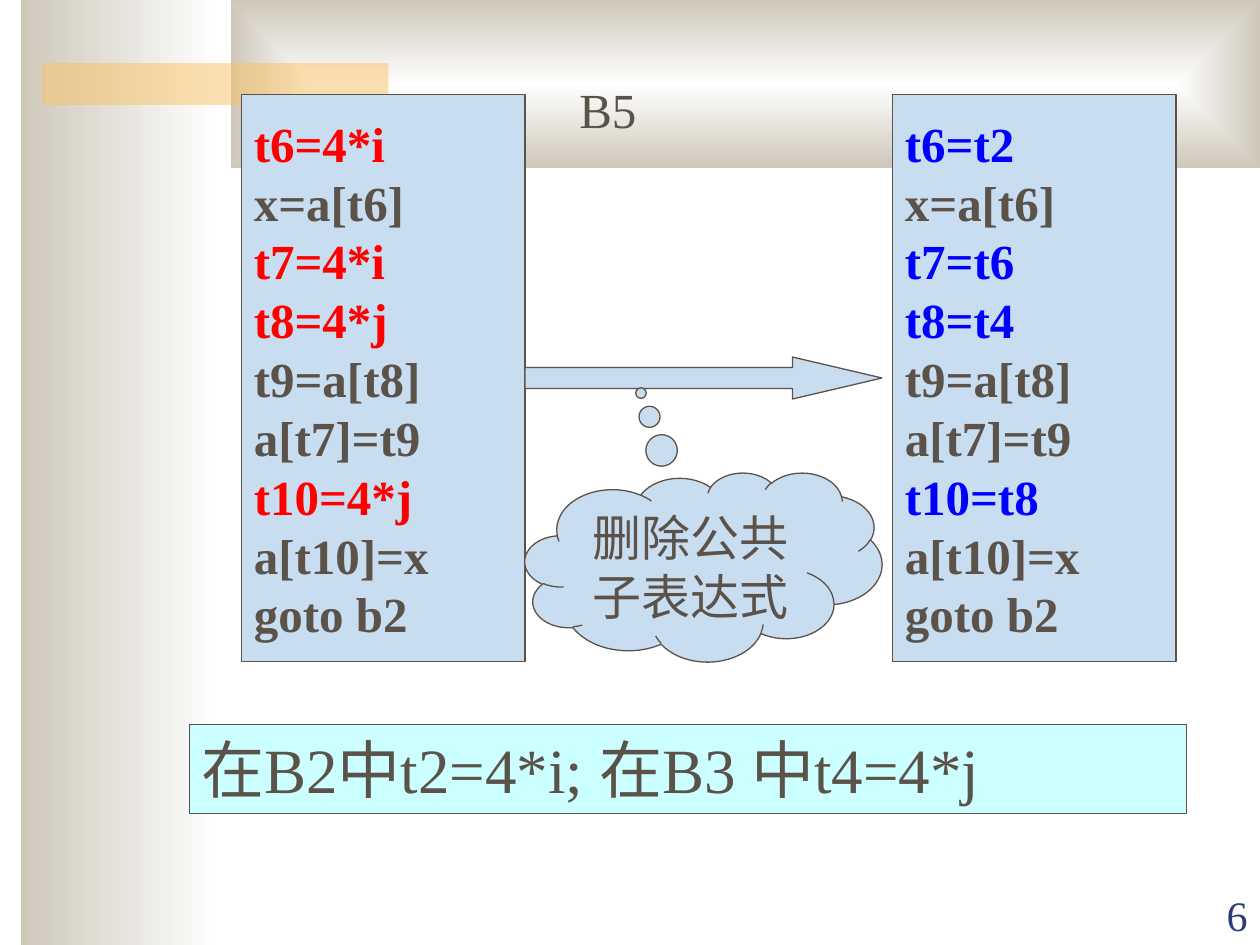
import pptx
import pptx.util
import pptx.dml.color
import pptx.enum.shapes
import pptx.enum.text
import pptx.oxml
from pptx.oxml.ns import nsdecls, qn

Pt = pptx.util.Pt
SHAPE = pptx.enum.shapes.MSO_SHAPE
ALIGN = pptx.enum.text.PP_ALIGN
ANCHOR = pptx.enum.text.MSO_ANCHOR

# Each line: code before, code after, whether the optimisation rewrites it
CODE = [
    ("t6=4*i", "t6=t2", True),
    ("x=a[t6]", "x=a[t6]", False),
    ("t7=4*i", "t7=t6", True),
    ("t8=4*j", "t8=t4", True),
    ("t9=a[t8]", "t9=a[t8]", False),
    ("a[t7]=t9", "a[t7]=t9", False),
    ("t10=4*j", "t10=t8", True),
    ("a[t10]=x", "a[t10]=x", False),
    ("goto b2", "goto b2", False),
]
BLOCK_NAME = "B5"
STEP = "删除公共子表达式"
PREMISE = "在B2中t2=4*i; 在B3 中t4=4*j"
PAGE = "6"

THEME = {
    "font": "Times New Roman",
    "text": "5B5249", "before": "FF0000", "after": "0000FF", "page": "2A3D7A",
    "panel": "C9DDF1", "premise": "CCFFFF", "accent": "FAC164",
    "light": "FFFFFF", "shade": "CEC8BA",
    "body_size": 28, "premise_size": 36, "page_size": 24,
}

SLIDE_W, SLIDE_H = 720, 540
PANEL_TOP, PANEL_W, PANEL_H = 54, 162, 324
BEFORE_X, AFTER_X = 138, 510
STEP_X, STEP_W = BEFORE_X + PANEL_W, 204
ARROW_H, CLOUD_H = 24, 108


def rgb(name):
    return pptx.dml.color.RGBColor.from_string(THEME[name])


def add_box(slide, kind, at, fill=None, line_width=None):
    box = slide.shapes.add_shape(kind, *(Pt(length) for length in at))
    box.shadow.inherit = False
    if fill:
        box.fill.solid()
        box.fill.fore_color.rgb = rgb(fill)
    if line_width:
        box.line.color.rgb = rgb("text")
        box.line.width = Pt(line_width)
    else:
        box.line.fill.background()
    return box


def write(shape, lines, size, align=ALIGN.LEFT, anchor=ANCHOR.TOP, bold=False):
    """Fill a shape with (text, colour name) lines, one paragraph each."""
    frame = shape.text_frame
    frame.word_wrap = True
    frame.vertical_anchor = anchor
    for index, (text, color) in enumerate(lines):
        paragraph = frame.add_paragraph() if index else frame.paragraphs[0]
        paragraph.alignment = align
        run = paragraph.add_run()
        run.text = text
        run.font.name = THEME["font"]
        run.font.size = Pt(THEME[size])
        run.font.bold = bold
        run.font.color.rgb = rgb(color)


def add_label(slide, at, text, color, size, **layout):
    label = slide.shapes.add_textbox(*(Pt(length) for length in at))
    write(label, [(text, color)], size, **layout)


def add_gradient(slide, at):
    """Add a light-to-shade band whose shade lies on the left."""
    band = add_box(slide, SHAPE.RECTANGLE, at)
    band.fill.gradient()
    band.fill.gradient_angle = 180
    for stop, color in zip(band.fill.gradient_stops, ("light", "shade")):
        stop.color.rgb = rgb(color)
    return band


def shade_from_centre(band):
    linear = band._element.spPr.find(".//" + qn("a:lin"))
    centre = pptx.oxml.parse_xml(
        f'<a:path {nsdecls("a")} path="rect"><a:fillToRect l="50000" t="50000" '
        'r="50000" b="50000"/></a:path>')
    linear.getparent().replace(linear, centre)


def add_background(slide):
    add_gradient(slide, (12, 0, 114, SLIDE_H))
    shade_from_centre(add_gradient(slide, (132, 0, SLIDE_W - 132, 96)))
    accent = add_box(slide, SHAPE.RECTANGLE, (24, 36, 198, 24), "accent")
    color = accent._element.spPr.find(".//" + qn("a:srgbClr"))
    color.append(pptx.oxml.parse_xml(f'<a:alpha {nsdecls("a")} val="50000"/>'))


def add_code_panels(slide):
    for column, (left, changed_color) in enumerate(
            [(BEFORE_X, "before"), (AFTER_X, "after")]):
        panel = add_box(slide, SHAPE.RECTANGLE,
                        (left, PANEL_TOP, PANEL_W, PANEL_H), "panel", 0.75)
        lines = [(row[column], changed_color if row[2] else "text") for row in CODE]
        write(panel, lines, "body_size", anchor=ANCHOR.MIDDLE, bold=True)


def add_step(slide):
    arrow = add_box(slide, SHAPE.RIGHT_ARROW,
                    (STEP_X, 204, STEP_W, ARROW_H), "panel", 0.75)
    arrow.adjustments[0], arrow.adjustments[1] = 0.5, 2.13
    cloud_top = PANEL_TOP + PANEL_H - CLOUD_H
    cloud = add_box(slide, SHAPE.CLOUD_CALLOUT,
                    (STEP_X, cloud_top, STEP_W, CLOUD_H), "panel", 0.75)
    cloud.adjustments[0], cloud.adjustments[1] = -0.175, -0.92
    write(cloud, [(STEP, "text")], "body_size", align=ALIGN.CENTER)


def main():
    deck = pptx.Presentation()
    deck.slide_width, deck.slide_height = Pt(SLIDE_W), Pt(SLIDE_H)
    slide = deck.slides.add_slide(deck.slide_layouts[6])
    add_background(slide)
    add_code_panels(slide)
    add_step(slide)
    add_label(slide, (324, 42, 54, 41), BLOCK_NAME, "text", "body_size")
    premise = add_box(slide, SHAPE.RECTANGLE, (108, 414, 570, 50.5), "premise", 0.25)
    write(premise, [(PREMISE, "text")], "premise_size")
    add_label(slide, (648, 504.5, 72, 36), PAGE, "page", "page_size",
              align=ALIGN.RIGHT, anchor=ANCHOR.BOTTOM)
    deck.save("out.pptx")


if __name__ == "__main__":
    main()
